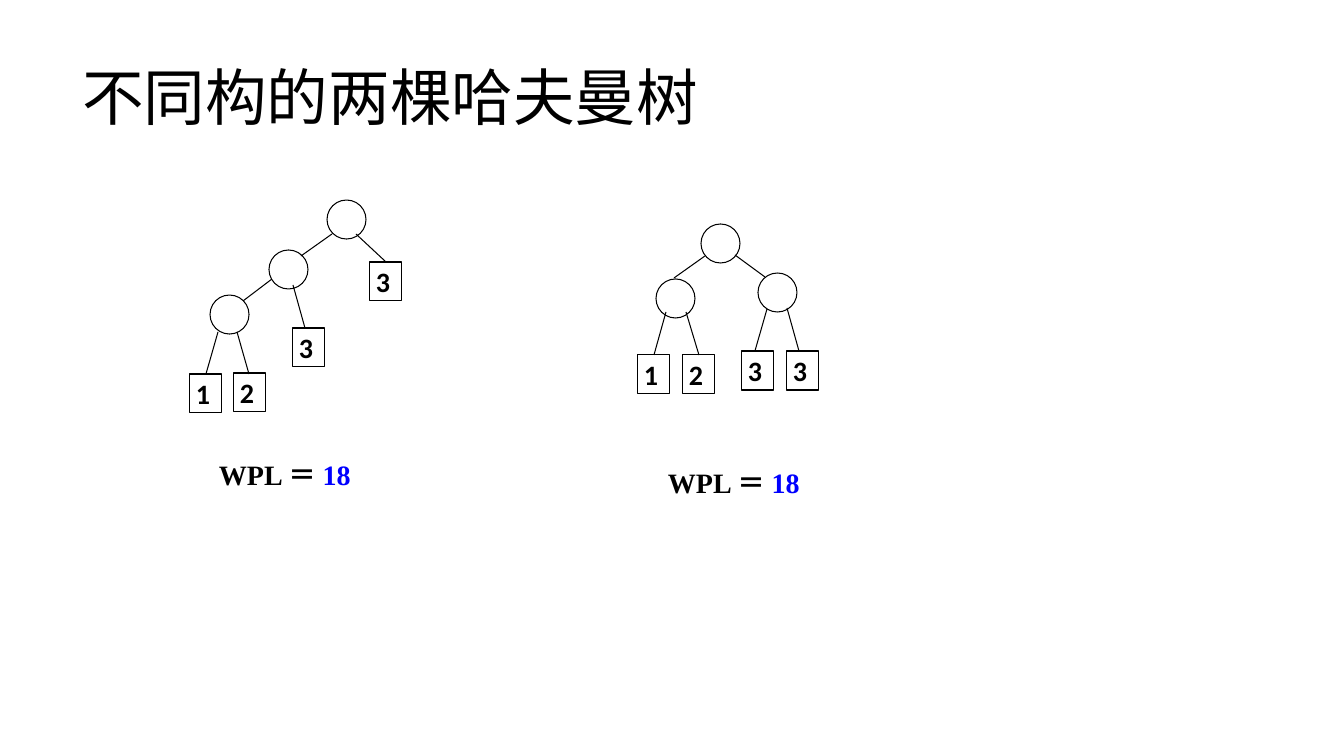
from pptx import Presentation
from pptx.dml.color import RGBColor
from pptx.enum.shapes import MSO_CONNECTOR, MSO_SHAPE
from pptx.enum.text import MSO_ANCHOR, MSO_AUTO_SIZE, PP_ALIGN
from pptx.oxml.ns import qn
from pptx.util import Pt
from lxml.etree import SubElement

INK = {"black": "000000", "white": "FFFFFF", "blue": "0000FF"}
SCALE = 914400 / 100.8
DISC = 39
LEAF = (32, 39)

TREES = [
    {
        "box": (190, 200),
        "discs": [(137, 0), (79, 50), (20, 95)],
        "leaves": [(1, 0, 174), (2, 44, 173), (3, 103, 128), (3, 180, 62)],
        "edges": [(142, 34, 111, 56), (166, 34, 196, 62), (82, 79, 53, 101),
                  (103, 85, 115, 128), (28, 132, 16, 174), (47, 132, 59, 174)],
        "label": (-9, 252),
    },
    {
        "box": (638, 224),
        "discs": [(63, 0), (18, 55), (120, 49)],
        "leaves": [(1, 0, 131), (2, 45, 131), (3, 104, 127), (3, 149, 127)],
        "edges": [(67, 32, 36, 54), (97, 31, 127, 53), (28, 88, 16, 131),
                  (48, 88, 61, 131), (129, 85, 117, 127), (149, 84, 161, 127)],
        "label": (-8, 236),
    },
]


def emu(*sizes):
    return [round(size * SCALE) for size in sizes]


def color(name):
    return RGBColor.from_string(INK[name])


def write(frame, parts, size=20, font="Calibri", bold=True,
          align=PP_ALIGN.LEFT, pad=None, indent=0, space=None):
    frame.word_wrap = True
    frame.vertical_anchor = MSO_ANCHOR.MIDDLE
    if pad is not None:
        (frame.margin_left, frame.margin_top,
         frame.margin_right, frame.margin_bottom) = emu(*pad)
    para = frame.paragraphs[0]
    para.alignment = align
    para.line_spacing = space
    if indent:
        para._p.get_or_add_pPr().set("indent", str(emu(indent)[0]))
    for text, ink in parts:
        run = para.add_run()
        run.text = text
        run.font.size = Pt(size)
        run.font.name = font
        run.font.bold = bold
        run.font.color.rgb = color(ink)


def outline(line):
    line.color.rgb = color("black")
    line.width = Pt(0.75)


def node(slide, kind, *box):
    shape = slide.shapes.add_shape(kind, *emu(*box))
    shape.shadow.inherit = False
    shape.fill.solid()
    shape.fill.fore_color.rgb = color("white")
    outline(shape.line)
    return shape


def edge(slide, *ends):
    line = slide.shapes.add_connector(MSO_CONNECTOR.STRAIGHT, *emu(*ends))
    outline(line.line)
    SubElement(line._element.spPr, qn("a:effectLst"))


def heading(slide, box):
    title = slide.shapes.title
    title.left, title.top, title.width, title.height = emu(*box)
    write(title.text_frame, [("不同构的两棵哈夫曼树", "black")],
          size=44, font="Arial", bold=False, space=0.9)


def tree(slide, box, discs, leaves, edges, label):
    left, top = box
    for x, y in discs:
        node(slide, MSO_SHAPE.OVAL, left + x, top + y, DISC, DISC)
    for weight, x, y in leaves:
        leaf = node(slide, MSO_SHAPE.RECTANGLE, left + x, top + y, *LEAF)
        write(leaf.text_frame, [(str(weight), "black")],
              align=PP_ALIGN.JUSTIFY, pad=(6, 0, 0, 0))
    for x1, y1, x2, y2 in edges:
        edge(slide, left + x1, top + y1, left + x2, top + y2)
    x, y = label
    note = slide.shapes.add_textbox(*emu(left + x, top + y, 181, 44))
    write(note.text_frame, [("WPL ＝ ", "black"), ("18", "blue")],
          font="Times New Roman", indent=28)
    note.text_frame.auto_size = MSO_AUTO_SIZE.SHAPE_TO_FIT_TEXT


deck = Presentation()
deck.slide_width, deck.slide_height = emu(1344, 756)
slide = deck.slides.add_slide(deck.slide_layouts[5])
heading(slide, (72, 28, 1159, 146))
for parts in TREES:
    tree(slide, **parts)
deck.save("out.pptx")
